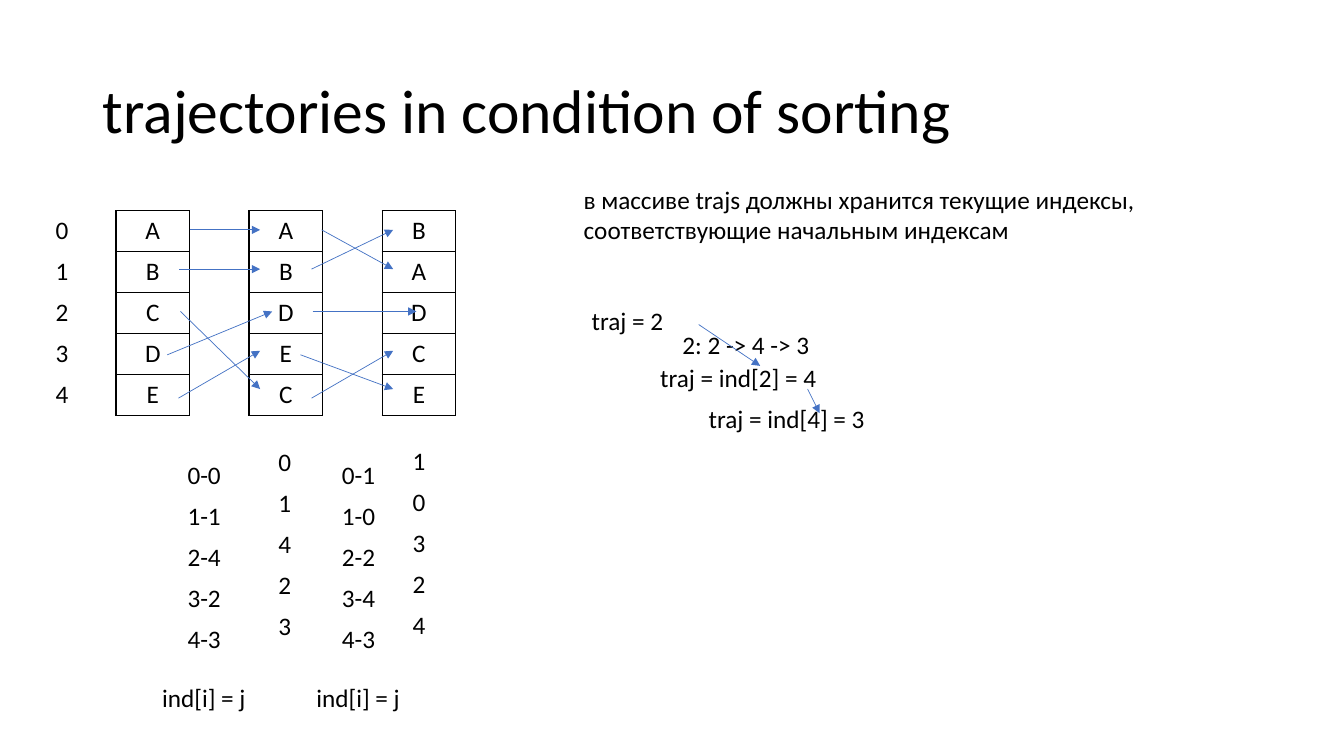
from lxml.etree import SubElement
from pptx import Presentation
from pptx.dml.color import RGBColor
from pptx.enum.shapes import MSO_CONNECTOR
from pptx.enum.text import MSO_ANCHOR, MSO_AUTO_SIZE, PP_ALIGN
from pptx.oxml.ns import qn
from pptx.util import Inches, Pt

BLACK = RGBColor(0, 0, 0)
WHITE = RGBColor(255, 255, 255)
BLUE = RGBColor(0x44, 0x72, 0xC4)
FONT = "Calibri"

TITLE = "trajectories in condition of sorting"

# left, top, entries, bordered
COLUMNS = [
    (1.15, 2.09, "A B C D E", True),
    (2.47, 2.09, "A B D E C", True),
    (0.25, 2.09, "0 1 2 3 4", False),
    (3.79, 2.09, "B A D C E", True),
    (2.46, 4.39, "0 1 4 2 3", False),
    (3.79, 4.38, "1 0 3 2 4", False),
    (1.66, 4.52, "0-0 1-1 2-4 3-2 4-3", False),
    (3.19, 4.52, "0-1 1-0 2-2 3-4 4-3", False),
]
WIDTH, ROW = 0.73, 2.03 / 5

# left, top, width, height, text, wrap
NOTES = [
    (5.69, 1.78, 6, 0.71, "в массиве trajs должны хранится текущие индексы, "
     "соответствующие начальным индексам", True),
    (1.51, 6.72, 1.04, 0.4, "ind[i] = j", False),
    (3.04, 6.72, 1.04, 0.4, "ind[i] = j", False),
    (6.67, 3.22, 1.54, 0.4, "2: 2 -> 4 -> 3", False),
    (6.45, 3.55, 1.77, 0.4, "traj = ind[2] = 4", False),
    (6.93, 3.95, 1.77, 0.4, "traj = ind[4] = 3", False),
    (5.77, 2.98, 0.92, 0.4, "traj = 2", False),
]

# Heights at which arrows leave and reach each row
LEAVE = [2.28, 2.67, 3.09, 3.52, 3.95]
REACH = [2.28, 2.67, 3.09, 3.48, 3.86]
# start x, start row, end x, end row
MOVES = [
    (1.88, 0, 2.58, 0), (1.78, 1, 2.58, 1), (1.79, 2, 2.58, 4),
    (1.66, 3, 2.7, 2), (1.77, 4, 2.58, 3),
    (3.19, 0, 3.9, 1), (3.09, 1, 3.9, 0), (3.1, 2, 4.13, 2),
    (2.98, 3, 3.9, 4), (3.09, 4, 3.9, 3),
]
STEPS = [(6.93, 3.22, 7.54, 3.63), (8.01, 3.86, 8.13, 4.1)]


def style(para, size=18):
    para.font.name = FONT
    para.font.size = Pt(size)
    para.font.color.rgb = BLACK


def outline(cell):
    """Give the cell a black border; must run before its fill is set."""
    props = cell._tc.get_or_add_tcPr()
    for side in ("lnL", "lnR", "lnT", "lnB"):
        line = SubElement(props, qn("a:" + side), w=str(Pt(1)))
        fill = SubElement(line, qn("a:solidFill"))
        SubElement(fill, qn("a:srgbClr"), val=str(BLACK))


def add_column(slide, left, top, entries, framed):
    words = entries.split()
    table = slide.shapes.add_table(
        len(words), 1, Inches(left), Inches(top),
        Inches(WIDTH), Inches(ROW * len(words))).table
    table.first_row = table.horz_banding = False
    for row, word in enumerate(words):
        cell = table.cell(row, 0)
        if framed:
            outline(cell)
        cell.fill.solid()
        cell.fill.fore_color.rgb = WHITE
        cell.text = word
        para = cell.text_frame.paragraphs[0]
        para.alignment = PP_ALIGN.CENTER
        style(para)


def add_note(slide, left, top, width, height, text, wrap):
    box = slide.shapes.add_textbox(*map(Inches, (left, top, width, height)))
    frame = box.text_frame
    frame.word_wrap = wrap
    frame.auto_size = MSO_AUTO_SIZE.SHAPE_TO_FIT_TEXT
    frame.text = text
    style(frame.paragraphs[0])


def add_arrow(slide, *ends):
    arrow = slide.shapes.add_connector(
        MSO_CONNECTOR.STRAIGHT, *map(Inches, ends))
    arrow.line.color.rgb = BLUE
    arrow.line.width = Pt(0.5)
    SubElement(arrow.line._get_or_add_ln(), qn("a:tailEnd"), type="triangle")
    SubElement(arrow._element.spPr, qn("a:effectLst"))


def add_title(slide):
    title = slide.shapes.title
    title.left, title.top = Inches(0.92), Inches(0.4)
    title.width, title.height = Inches(11.5), Inches(1.45)
    frame = title.text_frame
    frame.text = TITLE
    frame.auto_size = MSO_AUTO_SIZE.NONE
    frame.vertical_anchor = MSO_ANCHOR.MIDDLE
    para = frame.paragraphs[0]
    para.alignment = PP_ALIGN.LEFT
    para.line_spacing = 0.9
    style(para, 44)


def main():
    deck = Presentation()
    deck.slide_width, deck.slide_height = Inches(13.33), Inches(7.5)
    slide = deck.slides.add_slide(deck.slide_layouts[5])
    add_title(slide)
    for column in COLUMNS:
        add_column(slide, *column)
    for note in NOTES:
        add_note(slide, *note)
    for x1, start, x2, end in MOVES:
        add_arrow(slide, x1, LEAVE[start], x2, REACH[end])
    for step in STEPS:
        add_arrow(slide, *step)
    deck.save("out.pptx")


if __name__ == "__main__":
    main()
